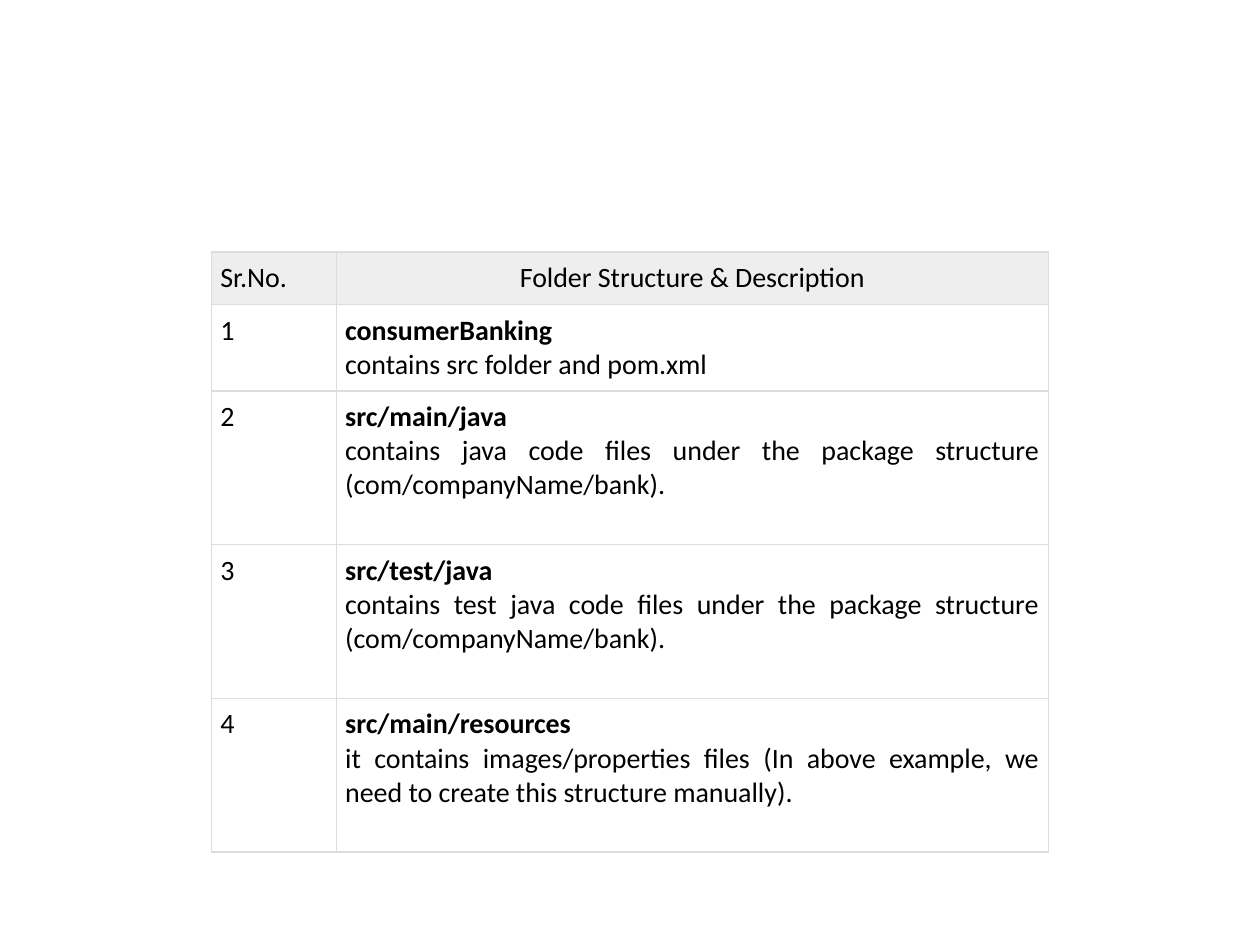
import pptx
import pptx.util
import pptx.dml.color
import pptx.enum.text
import pptx.oxml
from pptx.oxml.ns import nsdecls
from pptx.util import Inches

# Content
HEADINGS = ("Sr.No.", "Folder Structure & Description")
FOLDERS = [
    ("consumerBanking", "contains src folder and pom.xml"),
    ("src/main/java",
     "contains java code files under the package structure (com/companyName/bank)."),
    ("src/test/java",
     "contains test java code files under the package structure (com/companyName/bank)."),
    ("src/main/resources",
     "it contains images/properties files (In above example, we need to create "
     "this structure manually)."),
]

# Format
COLORS = {"text": "000000", "header": "EEEEEE", "border": "DDDDDD"}
FONT, SIZE = "Calibri", 16
LEFT, TOP = 1.68, 2
COLUMN_WIDTHS = (0.99, 5.65)
ROW_HEIGHTS = (0.42, 0.68, 1.22, 1.22, 1.22)
PADDING = 0.07
BORDER_WIDTH = pptx.util.Pt(0.75)
ALIGN = pptx.enum.text.PP_ALIGN


def color(name):
    return pptx.dml.color.RGBColor.from_string(COLORS[name])


def write_line(para, text, *, bold=False, align=ALIGN.LEFT):
    para.alignment = align
    span = para.add_run()
    span.text = text
    span.font.name = FONT
    span.font.size = pptx.util.Pt(SIZE)
    span.font.bold = bold
    span.font.color.rgb = color("text")


def style_cell(cell, fill=None):
    cell.margin_left = cell.margin_right = Inches(PADDING)
    cell.margin_top = cell.margin_bottom = Inches(PADDING)
    properties = cell._tc.get_or_add_tcPr()
    for side in ("lnL", "lnR", "lnT", "lnB"):
        properties.append(pptx.oxml.parse_xml(
            f'<a:{side} {nsdecls("a")} w="{BORDER_WIDTH}"><a:solidFill>'
            f'<a:srgbClr val="{COLORS["border"]}"/></a:solidFill></a:{side}>'))
    if fill:
        cell.fill.solid()
        cell.fill.fore_color.rgb = color(fill)
    else:
        cell.fill.background()


def main():
    deck = pptx.Presentation()
    deck.slide_width, deck.slide_height = Inches(10), Inches(7.5)
    page = deck.slides.add_slide(deck.slide_layouts[6])

    # Table grid
    table = page.shapes.add_table(
        len(ROW_HEIGHTS), len(COLUMN_WIDTHS), Inches(LEFT), Inches(TOP),
        Inches(sum(COLUMN_WIDTHS)), Inches(sum(ROW_HEIGHTS))).table
    for column, width in zip(table.columns, COLUMN_WIDTHS):
        column.width = Inches(width)
    for index, (row, height) in enumerate(zip(table.rows, ROW_HEIGHTS)):
        row.height = Inches(height)
        for cell in row.cells:
            style_cell(cell, fill="header" if index == 0 else None)

    # Header row
    for column, (heading, align) in enumerate(zip(HEADINGS, (ALIGN.LEFT, ALIGN.CENTER))):
        write_line(table.cell(0, column).text_frame.paragraphs[0], heading, align=align)

    # Folder rows
    for number, (folder, description) in enumerate(FOLDERS, start=1):
        write_line(table.cell(number, 0).text_frame.paragraphs[0], str(number))
        frame = table.cell(number, 1).text_frame
        write_line(frame.paragraphs[0], folder, bold=True, align=ALIGN.JUSTIFY)
        write_line(frame.add_paragraph(), description, align=ALIGN.JUSTIFY)

    deck.save("out.pptx")


if __name__ == "__main__":
    main()
